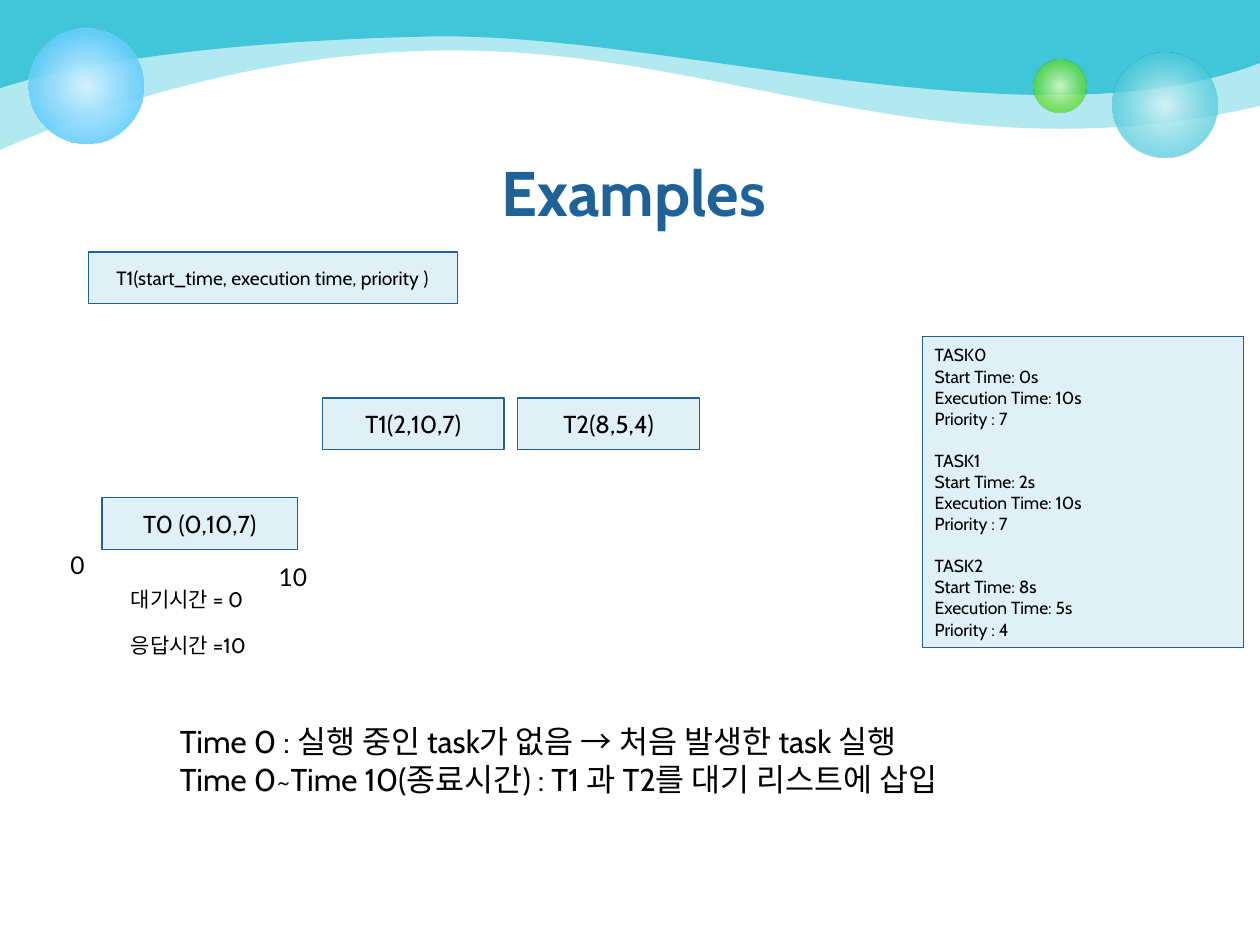
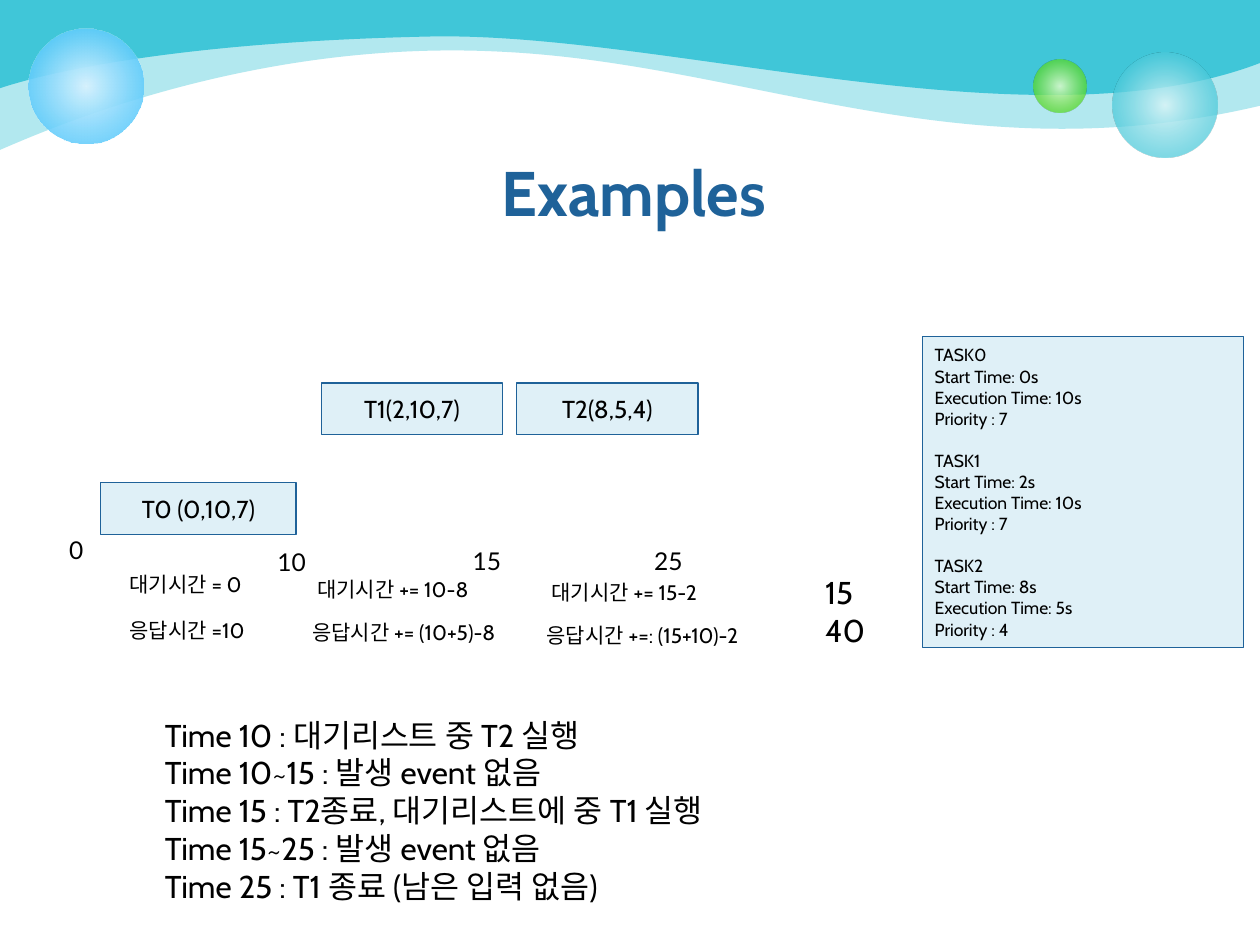
from dataclasses import dataclass
from itertools import chain

from lxml.etree import SubElement
from pptx import Presentation
from pptx.dml.color import RGBColor
from pptx.enum.shapes import MSO_SHAPE
from pptx.enum.text import MSO_ANCHOR, MSO_AUTO_SIZE, PP_ALIGN
from pptx.oxml import parse_xml
from pptx.oxml.ns import nsdecls, qn
from pptx.util import Inches, Pt


@dataclass(frozen=True)
class Theme:
    font: str = "Cabin"
    tick_font: str = "Lato"
    ink: str = "000000"
    navy: str = "1F6299"
    pale: str = "DFF0F7"
    wave: str = "40C6D8"
    title: int = 36
    body: int = 18
    task: int = 14
    note: int = 12
    caption: int = 11
    detail: int = 10


THEME = Theme()

# Waves across the top: cubic curves from the origin, closed back to it
BACK_WAVE = [((0, 0.47), (0, 0.73), (0, 1.19)),
             ((0.33, 1.05), (1.97, 0.31), (3.96, 0.41)),
             ((5.95, 0.5), (7.62, 1.4), (10, 0.84)),
             ((10, 0.56), (10, 0.28), (10.01, 0))]
FRONT_WAVE = [((0, 0.28), (0, 0.41), (0, 0.7)),
              ((0.45, 0.55), (1.53, 0.33), (3.41, 0.29)),
              ((5.29, 0.25), (8.2, 1.19), (10, 0.5)),
              ((10, 0.33), (10, 0.16), (10, 0))]

# Bubbles: left, top, diameter, gradient stops (percent, colour, opacity)
BUBBLES = [(8.83, 0.42, 0.83, [(0, "D9F4F7", 90), (76, "40C6D8", 70)]),
           (8.2, 0.47, 0.42, [(0, "DAFACD", 90), (76, "4CD416", 70)]),
           (0.23, 0.23, 0.91, [(0, "D6F2FE", 100), (100, "33BDFB", 80)])]

TASKS = [(0, 10, 7), (2, 10, 7), (8, 5, 4)]  # start, execution, priority


def write(frame, lines, size, font=THEME.font, color=THEME.ink, bold=False,
          align=PP_ALIGN.LEFT, anchor=MSO_ANCHOR.TOP, inset=None, wrap=True,
          grow=False, gap_before=()):
    """Fill a text frame; gap_before lists the lines that open a new group."""
    frame.word_wrap = wrap
    frame.auto_size = MSO_AUTO_SIZE.SHAPE_TO_FIT_TEXT if grow else MSO_AUTO_SIZE.NONE
    frame.vertical_anchor = anchor
    if inset is not None:
        frame.margin_left = frame.margin_right = Inches(inset)
        frame.margin_top = frame.margin_bottom = Inches(inset)
    for i, line in enumerate(lines):
        paragraph = frame.paragraphs[0] if i == 0 else frame.add_paragraph()
        paragraph.alignment = align
        if i in gap_before:
            paragraph.space_before = Pt(size * 1.22)
        run = paragraph.add_run()
        run.text = line
        run.font.size = Pt(size)
        run.font.bold = bold
        run.font.color.rgb = RGBColor.from_string(color)
        run.font.name = font


class Deck:
    def __init__(self, theme):
        self.theme = theme
        self.prs = Presentation()
        self.prs.slide_width, self.prs.slide_height = Inches(10), Inches(7.5)
        self.shapes = None

    def new_slide(self, title):
        self.shapes = self.prs.slides.add_slide(self.prs.slide_layouts[6]).shapes
        self.wave(BACK_WAVE, opacity=40)
        self.wave(FRONT_WAVE)
        for bubble in BUBBLES:
            self.bubble(*bubble)
        self.label(0.53, 1.17, 9, 1.25, [title], self.theme.title,
                   color=self.theme.navy, bold=True, align=PP_ALIGN.CENTER)

    def wave(self, curves, opacity=100):
        corners = [(Inches(x), Inches(y)) for x, y in chain(*curves)]
        outline = self.shapes.build_freeform(0, 0)
        outline.add_line_segments(corners + [(0, 0)], close=True)
        wave = outline.convert_to_shape()
        wave.shadow.inherit = False
        wave.line.fill.background()
        wave.fill.solid()
        wave.fill.fore_color.rgb = RGBColor.from_string(self.theme.wave)
        # Every three straight segments become one cubic curve
        segments = list(wave._element.iter(qn("a:lnTo")))
        for i in range(0, len(curves) * 3, 3):
            curve = parse_xml(f'<a:cubicBezTo {nsdecls("a")}/>')
            segments[i].addprevious(curve)
            for segment in segments[i:i + 3]:
                curve.append(segment[0])
                segment.getparent().remove(segment)
        if opacity < 100:
            color = wave._element.spPr.find(qn("a:solidFill"))[0]
            SubElement(color, qn("a:alpha")).set("val", str(opacity * 1000))

    def bubble(self, left, top, size, stops):
        bubble = self.shapes.add_shape(MSO_SHAPE.OVAL, *map(Inches, (left, top, size, size)))
        bubble.shadow.inherit = False
        bubble.line.fill.background()
        bubble.fill.solid()
        stop_xml = "".join(
            f'<a:gs pos="{at * 1000}"><a:srgbClr val="{color}">'
            f'<a:alpha val="{opacity * 1000}"/></a:srgbClr></a:gs>'
            for at, color, opacity in stops)
        radial = parse_xml(
            f'<a:gradFill {nsdecls("a")} rotWithShape="1"><a:gsLst>{stop_xml}</a:gsLst>'
            '<a:path path="circle"><a:fillToRect l="50000" t="50000" r="50000" b="50000"/>'
            '</a:path></a:gradFill>')
        props = bubble._element.spPr
        props.replace(props.find(qn("a:solidFill")), radial)

    def label(self, left, top, width, height, lines, size, **style):
        box = self.shapes.add_textbox(*map(Inches, (left, top, width, height)))
        write(box.text_frame, lines, size, **style)

    def panel(self, left, top, width, height, lines, size, **style):
        panel = self.shapes.add_shape(
            MSO_SHAPE.RECTANGLE, *map(Inches, (left, top, width, height)))
        panel.shadow.inherit = False
        panel.fill.solid()
        panel.fill.fore_color.rgb = RGBColor.from_string(self.theme.pale)
        panel.line.color.rgb = RGBColor.from_string(self.theme.navy)
        panel.line.width = Pt(0.75)
        write(panel.text_frame, lines, size, anchor=MSO_ANCHOR.MIDDLE, inset=0.1, **style)

    def task(self, left, top, width, text, size=THEME.task):
        self.panel(left, top, width, 0.41, [text], size, align=PP_ALIGN.CENTER)

    def tick(self, left, top, value, width=0.57):
        self.label(left, top, width, 0.28, [value], self.theme.task,
                   font=self.theme.tick_font, align=PP_ALIGN.CENTER,
                   anchor=MSO_ANCHOR.MIDDLE, inset=0.1)

    def note(self, left, top, width, text, wrap=False):
        self.label(left, top, width, 0.3, [text], self.theme.note, wrap=wrap, grow=True)

    def message(self, left, top, width, height, lines):
        self.label(left, top, width, height, lines, self.theme.body, wrap=False, grow=True)

    def timeline(self, left, top):
        """T0 running, with T1 and T2 waiting above it."""
        self.task(left + 1.75, top - 0.79, 1.44, "T1(2,10,7)")
        self.task(left + 3.3, top - 0.79, 1.44, "T2(8,5,4)")
        self.task(left, top, 1.55, "T0 (0,10,7)")
        self.tick(left - 0.35, top + 0.39, "0", width=0.24)
        self.tick(left + 1.23, top + 0.49, "10")
        self.note(left + 0.13, top + 0.66, 1.26, "대기시간 = 0", wrap=True)
        self.note(left + 0.13, top + 1.02, 1.25, "응답시간 =10", wrap=True)

    def task_list(self):
        lines = []
        for number, (start, execution, priority) in enumerate(TASKS):
            lines += [f"TASK{number}", f"Start Time: {start}s",
                      f"Execution Time: {execution}s", f"Priority : {priority}"]
        self.panel(7.32, 2.67, 2.55, 2.47, lines, self.theme.detail, gap_before=(4, 8))


deck = Deck(THEME)

# Slide 1: T0 starts, T1 and T2 join the waiting list
deck.new_slide("Examples")
deck.timeline(0.81, 3.95)
deck.task_list()
deck.message(1.33, 5.68, 7, 0.71, [
    "Time 0 : 실행 중인 task가 없음 → 처음 발생한 task 실행",
    "Time 0~Time 10(종료시간) : T1 과 T2를 대기 리스트에 삽입"])
deck.task(0.7, 2, 2.93, "T1(start_time, execution time, priority )", THEME.caption)

# Slide 2: T2 and T1 run in turn, with waiting and response totals
deck.new_slide("Examples")
deck.timeline(0.8, 3.83)
deck.tick(3.58, 4.31, "15")
deck.tick(5.02, 4.31, "25")
for left, top, width, waiting, response in [
        (2.38, 4.53, 1.96, "10-8", "+= (10+5)-8"),
        (4.24, 4.55, 2.05, "15-2", "+=: (15+10)-2")]:
    deck.note(left + 0.04, top, 1.56, f"대기시간 += {waiting}")
    deck.note(left, top + 0.34, width, f"응답시간 {response}")
deck.message(6.45, 4.5, 0.56, 0.71, ["15", "40"])
deck.message(1.21, 5.63, 5.1, 1.62, [
    "Time 10 : 대기리스트 중 T2 실행",
    "Time 10~15 : 발생 event 없음",
    "Time 15 : T2종료, 대기리스트에 중 T1 실행",
    "Time 15~25 : 발생 event 없음",
    "Time 25 : T1 종료 (남은 입력 없음)"])
deck.task_list()

deck.prs.save("out.pptx")
